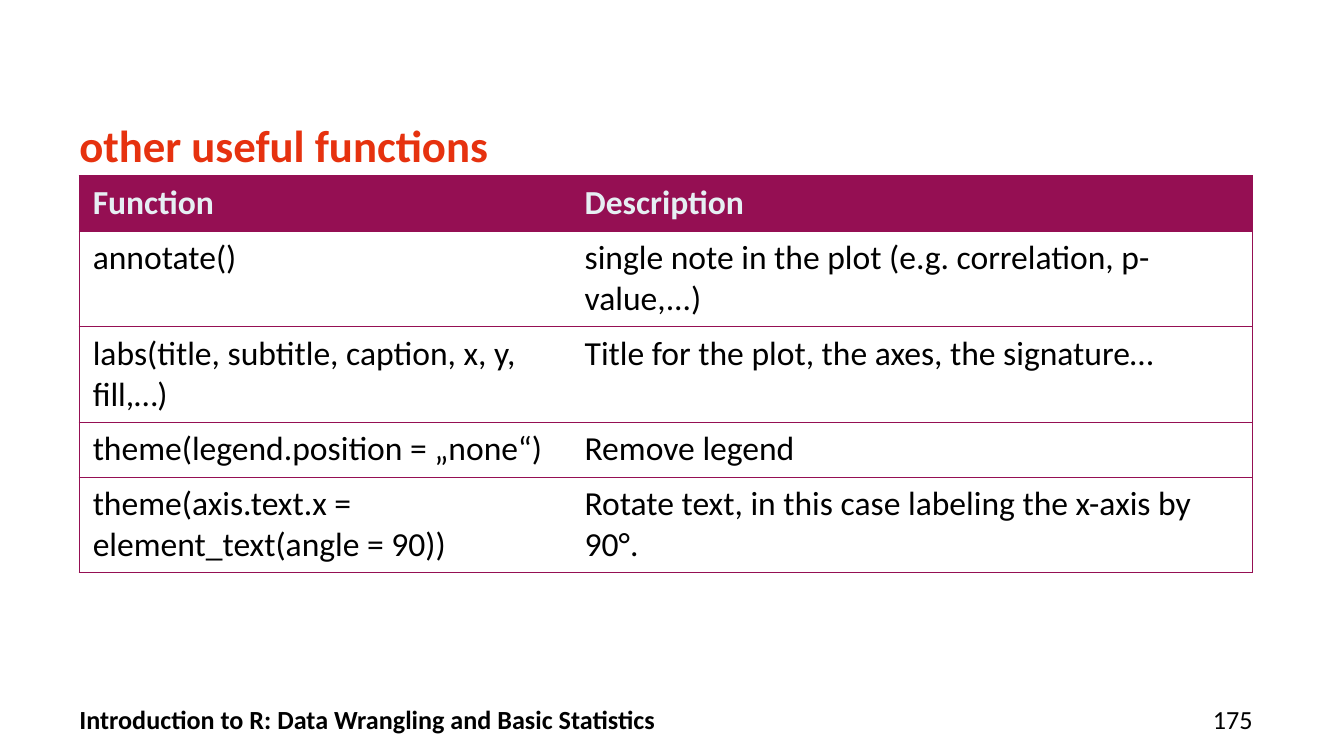
"""Build a slide with a table of useful plotting functions."""
from dataclasses import dataclass

import pptx
import pptx.dml.color
import pptx.enum.text
import pptx.oxml
import pptx.oxml.ns
import pptx.util

Inches = pptx.util.Inches
Pt = pptx.util.Pt
RGBColor = pptx.dml.color.RGBColor
Align = pptx.enum.text.PP_ALIGN
Anchor = pptx.enum.text.MSO_ANCHOR

ORANGE = RGBColor(0xE6, 0x32, 0x0F)
PLUM = RGBColor(0x95, 0x0F, 0x53)
PALE = RGBColor(0xE6, 0xEF, 0xF3)
BLACK = RGBColor(0, 0, 0)
WHITE = RGBColor(0xFF, 0xFF, 0xFF)

FONT = "Calibri"
LEFT = 0.59
WIDTH = 8.73
COLUMN_WIDTHS = (3.66, 5.07)
ROW_HEIGHT = 0.41
FUNCTIONS = (
    ("Function", "Description"),
    ("annotate()", "single note in the plot (e.g. correlation, p-value,...)"),
    ("labs(title, subtitle, caption, x, y, fill,…)", "Title for the plot, the axes, the signature…"),
    ("theme(legend.position = „none“)", "Remove legend"),
    ("theme(axis.text.x = element_text(angle = 90))",
     "Rotate text, in this case labeling the x-axis by 90°."),
)


@dataclass
class Label:
    text: str
    left: float
    top: float
    width: float
    height: float
    size: float
    color: RGBColor = BLACK
    bold: bool = False
    align: Align = Align.LEFT
    anchor: Anchor = Anchor.MIDDLE
    wrap: bool = True
    line_spacing: float | None = None


LABELS = (
    Label("other useful functions", LEFT, 0.86, WIDTH, 0.68, 24, ORANGE, True,
          anchor=Anchor.TOP, wrap=False, line_spacing=30),
    Label("175", 8.27, 5.24, 1.05, 0.22, 14, align=Align.RIGHT),
    Label("Introduction to R: Data Wrangling and Basic Statistics", LEFT, 5.24, 7.52, 0.22, 14, bold=True),
)


def style_font(font, size: float, color: RGBColor, bold: bool) -> None:
    font.name = FONT
    font.size = Pt(size)
    font.bold = bold
    font.color.rgb = color


def add_label(page, label: Label) -> None:
    box = page.shapes.add_textbox(
        Inches(label.left), Inches(label.top), Inches(label.width), Inches(label.height))
    frame = box.text_frame
    frame.margin_left = frame.margin_top = frame.margin_right = frame.margin_bottom = 0
    frame.word_wrap = label.wrap
    frame.vertical_anchor = label.anchor
    frame.text = label.text
    paragraph = frame.paragraphs[0]
    paragraph.alignment = label.align
    if label.line_spacing:
        paragraph.line_spacing = Pt(label.line_spacing)
    style_font(paragraph.runs[0].font, label.size, label.color, label.bold)


def add_borders(cell, hidden_side: str) -> None:
    properties = cell._tc.get_or_add_tcPr()
    for side in ("lnL", "lnR", "lnT", "lnB"):
        paint = "<a:noFill/>" if side == hidden_side else (
            f'<a:solidFill><a:srgbClr val="{PLUM}"/></a:solidFill>')
        properties.append(pptx.oxml.parse_xml(
            f'<a:{side} {pptx.oxml.ns.nsdecls("a")} w="{Pt(0.75)}">{paint}</a:{side}>'))


def add_function_table(page) -> None:
    table = page.shapes.add_table(
        len(FUNCTIONS), len(COLUMN_WIDTHS), Inches(LEFT), Inches(1.31),
        Inches(WIDTH), Inches(ROW_HEIGHT * len(FUNCTIONS))).table
    table.horz_banding = False
    for column, width in zip(table.columns, COLUMN_WIDTHS):
        column.width = Inches(width)
    for row_index, texts in enumerate(FUNCTIONS):
        header = row_index == 0
        table.rows[row_index].height = Inches(ROW_HEIGHT)
        for column_index, text in enumerate(texts):
            cell = table.cell(row_index, column_index)
            add_borders(cell, "lnL" if column_index else "lnR")
            cell.fill.solid()
            cell.fill.fore_color.rgb = PLUM if header else WHITE
            cell.text_frame.text = text
            span = cell.text_frame.paragraphs[0].runs[0]
            style_font(span.font, 18, PALE if header else BLACK, header)


def main() -> None:
    deck = pptx.Presentation()
    deck.slide_width = Inches(10)
    deck.slide_height = deck.slide_width * 9 // 16
    page = deck.slides.add_slide(deck.slide_layouts[6])
    add_function_table(page)
    for label in LABELS:
        add_label(page, label)
    deck.save("out.pptx")


if __name__ == "__main__":
    main()
